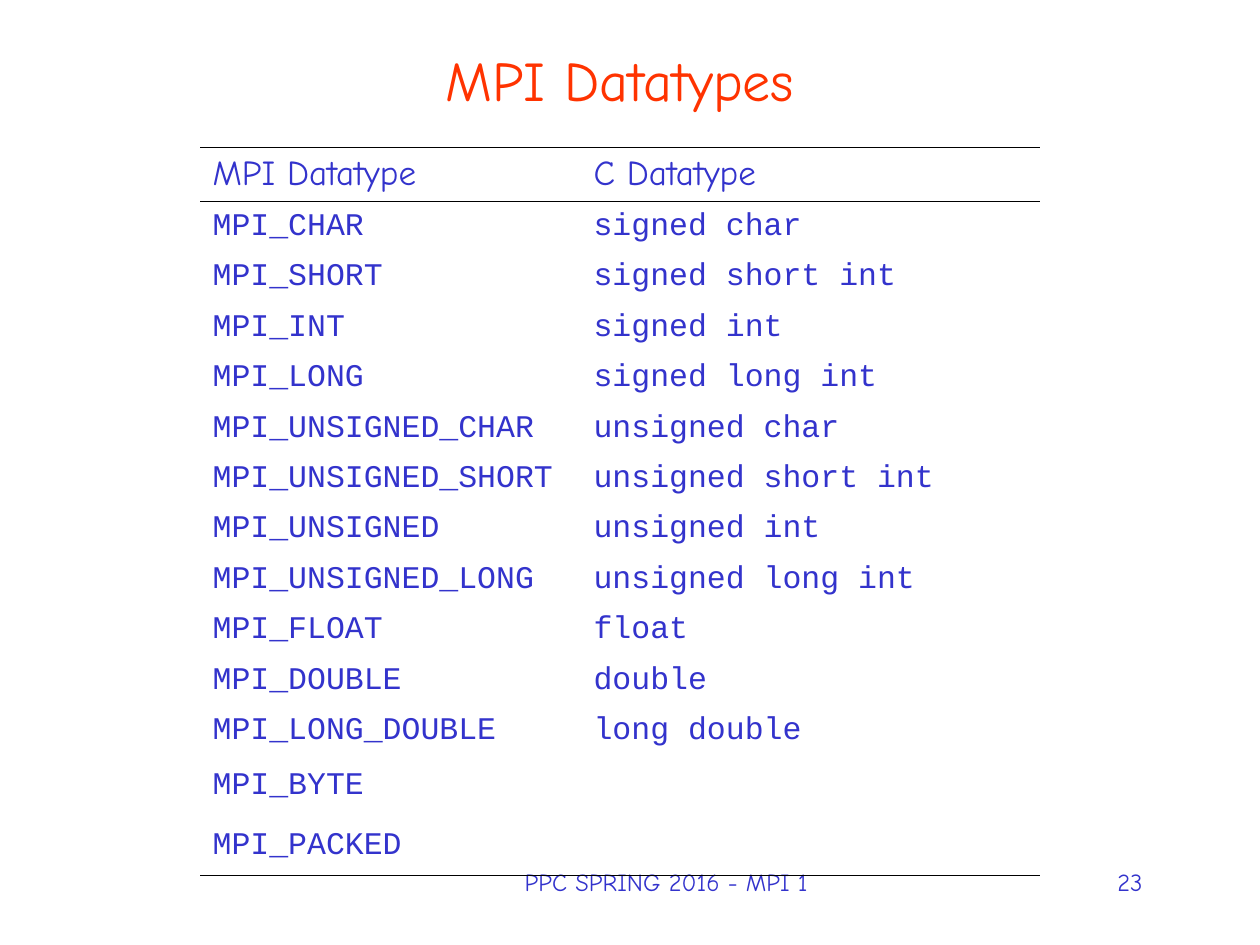
from dataclasses import dataclass

from lxml import etree
from pptx import Presentation
from pptx import util as u
from pptx.dml.color import RGBColor
from pptx.enum import text
from pptx.oxml.ns import qn

TITLE = "MPI Datatypes "
FOOTER = "PPC SPRING 2016 - MPI 1"
PAGE = "23"
HEADER = ("MPI Datatype", "C Datatype")
DATATYPES = [
    ("MPI_CHAR", "signed char"),
    ("MPI_SHORT", "signed short int"),
    ("MPI_INT", "signed int"),
    ("MPI_LONG", "signed long int"),
    ("MPI_UNSIGNED_CHAR", "unsigned char"),
    ("MPI_UNSIGNED_SHORT", "unsigned short int"),
    ("MPI_UNSIGNED", "unsigned int"),
    ("MPI_UNSIGNED_LONG", "unsigned long int"),
    ("MPI_FLOAT", "float"),
    ("MPI_DOUBLE", "double"),
    ("MPI_LONG_DOUBLE", "long double"),
]
UNTYPED = [("MPI_BYTE", ""), ("MPI_PACKED", "")]


@dataclass(frozen=True)
class Theme:
    title: str = "FF3300"
    ink: str = "3333CC"
    rule: str = "000000"
    sans: str = "Comic Neue"
    mono: str = "Courier New"
    title_size: int = 32
    header_size: int = 20
    body_size: int = 18
    footer_size: int = 14
    rule_width: float = 0.45


THEME = Theme()
PX = u.Inches(1) // 126

TABLE_LEFT, TABLE_TOP = 200, 147
COLUMNS = (381, 459)
HEADER_HEIGHT, TYPED_HEIGHT, UNTYPED_HEIGHT = 54, 554, 119


def px(n):
    return u.Emu(round(n * PX))


def write(tf, words, size, font=THEME.sans, color=THEME.ink, align=text.PP_ALIGN.LEFT):
    p = tf.paragraphs[0]
    p.alignment = align
    if not words:
        p.font.size = u.Pt(size)
        return
    r = p.add_run()
    r.text = words
    for name, value in {"size": u.Pt(size), "name": font}.items():
        setattr(r.font, name, value)
    r.font.color.rgb = RGBColor.from_string(color)


def add_label(s, box, words, size, anchor=text.MSO_ANCHOR.TOP, **style):
    tf = s.shapes.add_textbox(*map(px, box)).text_frame
    tf.word_wrap = True
    tf.vertical_anchor = anchor
    write(tf, words, size, **style)


def set_borders(cell, ruled):
    """Rule the sides named in ruled and clear the others."""
    tc_pr = cell._tc.get_or_add_tcPr()
    for side in "LRTB":
        ln = etree.SubElement(tc_pr, qn(f"a:ln{side}"))
        if side in ruled:
            ln.set("w", str(u.Pt(THEME.rule_width)))
            fill = etree.SubElement(ln, qn("a:solidFill"))
            etree.SubElement(fill, qn("a:srgbClr")).set("val", THEME.rule)
        else:
            etree.SubElement(ln, qn("a:noFill"))


def add_datatype_table(s):
    rows = [HEADER, *DATATYPES, *UNTYPED]
    heights = ([HEADER_HEIGHT]
               + [TYPED_HEIGHT / len(DATATYPES)] * len(DATATYPES)
               + [UNTYPED_HEIGHT / len(UNTYPED)] * len(UNTYPED))
    ruled = {0: "TB", 1: "T", len(rows) - 1: "B"}
    box = (TABLE_LEFT, TABLE_TOP, sum(COLUMNS), sum(heights))
    table = s.shapes.add_table(len(rows), len(COLUMNS), *map(px, box)).table
    table.first_row = table.horz_banding = False
    for column, width in zip(table.columns, COLUMNS):
        column.width = px(width)
    for i, (row, words, height) in enumerate(zip(table.rows, rows, heights)):
        row.height = px(height)
        style = ((THEME.header_size, THEME.sans) if i == 0
                 else (THEME.body_size, THEME.mono))
        for cell, word in zip(row.cells, words):
            cell.vertical_anchor = text.MSO_ANCHOR.MIDDLE
            set_borders(cell, ruled.get(i, ""))
            cell.fill.background()
            write(cell.text_frame, word, *style)


def main():
    prs = Presentation()
    prs.slide_width, prs.slide_height = px(1260), px(945)
    s = prs.slides.add_slide(prs.slide_layouts[6])
    add_label(s, (325, 861, 683, 63), FOOTER, THEME.footer_size,
              align=text.PP_ALIGN.CENTER)
    add_label(s, (1029, 861, 126, 63), PAGE, THEME.footer_size,
              align=text.PP_ALIGN.RIGHT)
    add_label(s, (94, 21, 1071, 116), TITLE, THEME.title_size,
              anchor=text.MSO_ANCHOR.MIDDLE, color=THEME.title,
              align=text.PP_ALIGN.CENTER)
    add_datatype_table(s)
    prs.save("out.pptx")


if __name__ == "__main__":
    main()
